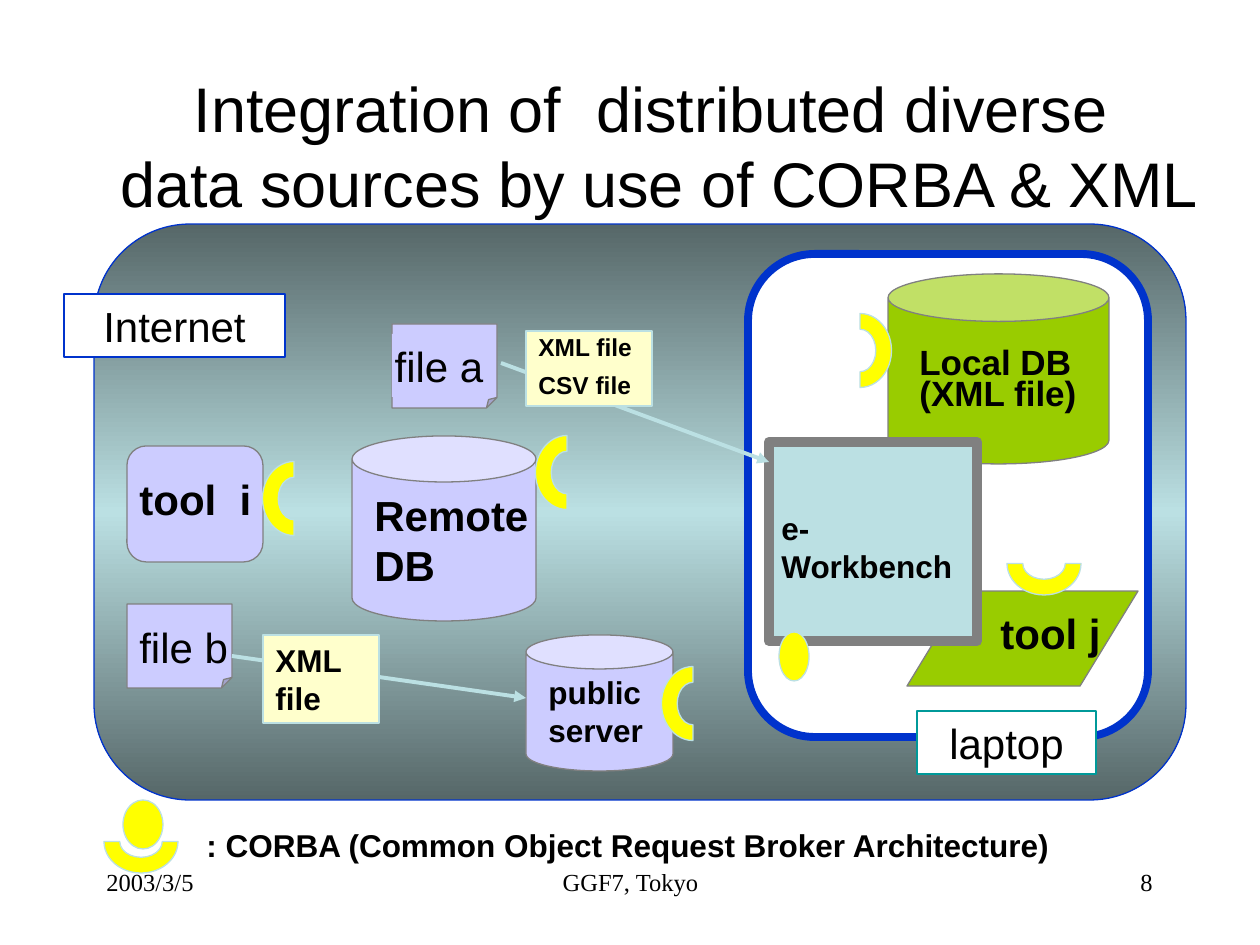
from copy import deepcopy

from lxml import etree
from pptx import Presentation
from pptx.dml.color import RGBColor
from pptx.enum import shapes, text
from pptx.oxml.ns import qn
from pptx.util import Emu, Pt

PX = 914400 / 126  # EMU in one px
KIND = shapes.MSO_SHAPE
ALIGN = text.PP_ALIGN
THEME = {
    "ink": "000000", "white": "FFFFFF", "blue": "0033CC", "teal": "009999",
    "slate": "566768", "aqua": "BBE0E3", "green": "99CC00", "lilac": "CCCCFF",
    "grey": "808080", "yellow": "FFFF00", "cream": "FFFFCC",
    "sans": "Arial", "serif": "Times New Roman",
    "title": 36, "large": 24, "medium": 20, "body": 18, "small": 14,
}


def add_shape(kind, box, fill, line=None, width=0.75, adj=(), rotation=0):
    sp = slide.shapes.add_shape(kind, *[Emu(round(v * PX)) for v in box])
    sp.shadow.inherit = False
    sp.rotation = rotation
    if adj:  # written as XML, since not every preset lists its adjustments
        guides = sp._element.spPr.find(".//" + qn("a:avLst"))
        guides[:] = []
        for i, value in enumerate(adj, 1):
            etree.SubElement(guides, qn("a:gd"), name=f"adj{i}" if len(adj) > 1 else "adj",
                             fmla=f"val {round(value * 100000)}")
    sp.fill.solid()
    sp.fill.fore_color.rgb = RGBColor.from_string(THEME[fill])
    if line:
        sp.line.color.rgb = RGBColor.from_string(THEME[line])
        sp.line.width = Pt(width)
    else:
        sp.line.fill.background()
    return sp


def add_text(target, lines, size, bold=False, align=ALIGN.LEFT, font="sans",
             anchor=text.MSO_ANCHOR.TOP, spacing=None, gap=0):
    """Write lines into a shape, or into a new text box when given a box."""
    if isinstance(target, tuple):
        target = slide.shapes.add_textbox(*[Emu(round(v * PX)) for v in target])
    tf = target.text_frame
    tf.word_wrap = True
    tf.vertical_anchor = anchor
    for i, line in enumerate(lines):
        p = tf.add_paragraph() if i else tf.paragraphs[0]
        p.text = line
        p.alignment = align
        p.line_spacing = spacing
        if i:
            p.space_before = Pt(gap)
        p.font.name = THEME[font]
        p.font.size = Pt(THEME[size])
        p.font.bold = bold
        p.font.color.rgb = RGBColor.from_string(THEME["ink"])
    return tf


prs = Presentation()
prs.slide_width, prs.slide_height = Emu(round(1260 * PX)), Emu(round(945 * PX))
slide = prs.slides.add_slide(prs.slide_layouts[6])

# Title
add_text((59, 66, 1201, 158),
         ["Integration of  distributed diverse \vdata sources by use of CORBA & XML"],
         "title", align=ALIGN.CENTER, anchor=text.MSO_ANCHOR.MIDDLE)

# Internet area: gradient dark, light, dark from top to bottom
internet = add_shape(KIND.ROUNDED_RECTANGLE, (94, 224, 1092, 576), "aqua", "blue")
internet.fill.gradient()
internet.fill.gradient_angle = 90
stops = internet.fill.gradient_stops
for stop, color, position in zip(stops, ("slate", "aqua"), (0, 0.5)):
    stop.color.rgb = RGBColor.from_string(THEME[color])
    stop.position = position
gs_list = internet._element.spPr.find(".//" + qn("a:gsLst"))
last = deepcopy(gs_list[0])
last.set("pos", "100000")
gs_list.append(last)

# Laptop area, data stores and tools
add_shape(KIND.ROUNDED_RECTANGLE, (748, 254, 400, 483), "white", "blue", 4.5)
for kind, box, fill, adj in [
    (KIND.CAN, (888, 274, 221, 190), "green", [0.25]),
    (KIND.CAN, (352, 436, 184, 185), "lilac", [0.25]),
    (KIND.ROUNDED_RECTANGLE, (127, 446, 136, 116), "lilac", []),
    (KIND.PARALLELOGRAM, (907, 591, 231, 95), "green", [0.61]),
    (KIND.CAN, (526, 635, 147, 136), "lilac", [0.25]),
    (KIND.FOLDED_CORNER, (392, 324, 105, 84), "lilac", [0.125]),
    (KIND.FOLDED_CORNER, (127, 604, 105, 84), "lilac", [0.125]),
]:
    add_shape(kind, box, fill, "grey", adj=adj)
add_shape(KIND.RECTANGLE, (769, 442, 208, 199), "aqua", "grey", 6)

# Names of the stores and tools
for box, label, size, bold in [
    ((769, 503, 209, 88), "e-Workbench", "body", True),
    ((536, 667, 168, 88), "public server", "body", True),
    ((127, 467, 158, 63), "tool  i", "large", True),
    ((988, 601, 168, 63), "tool j", "large", True),
    ((362, 483, 189, 113), "Remote DB", "large", True),
    ((127, 615, 126, 63), "file b", "large", False),
]:
    add_text(box, [label], size, bold)
add_text((907, 344, 189, 76), ["Local DB (XML file)"], "medium", True, spacing=0.75)
file_a = add_shape(KIND.RECTANGLE, (392, 334, 94, 63), "lilac")
add_text(file_a, ["file a"], "large", align=ALIGN.CENTER,
         anchor=text.MSO_ANCHOR.MIDDLE).word_wrap = False

# CORBA sockets and plug
for left, top, rotation in [(530, 441, 270), (823, 319, 90), (257, 467, 270),
                            (1007, 532, 180), (656, 672, 270), (104, 810, 180)]:
    add_shape(KIND.BLOCK_ARC, (left, top, 74, 63), "yellow", "aqua",
              adj=[108, 0, 0.25], rotation=rotation)
add_shape(KIND.OVAL, (779, 632, 30, 49), "yellow", "aqua")

# File transfer arrows
for ends in [(232, 656, 526, 698), (501, 363, 769, 462)]:
    arrow = slide.shapes.add_connector(shapes.MSO_CONNECTOR.STRAIGHT,
                                       *[Emu(round(v * PX)) for v in ends])
    arrow.line.color.rgb = RGBColor.from_string(THEME["aqua"])
    arrow.line.width = Pt(2.25)
    etree.SubElement(arrow._element.spPr.find(qn("a:ln")), qn("a:tailEnd"), type="triangle")
    etree.SubElement(arrow._element.spPr, qn("a:effectLst"))

# Format notes on the arrows
note = add_shape(KIND.RECTANGLE, (526, 331, 126, 75), "cream", "aqua")
add_text(note, ["XML file", "CSV file"], "small", True, spacing=0.8, gap=8.8)
note = add_shape(KIND.RECTANGLE, (263, 635, 116, 88), "cream", "aqua")
add_text(note, ["XML file"], "body", True)

# Area labels
for box, label, line in [((917, 711, 179, 63), "laptop", "teal"),
                         ((64, 294, 221, 63), "Internet", "blue")]:
    sp = add_shape(KIND.RECTANGLE, box, "white", line)
    add_text(sp, [label], "large", align=ALIGN.CENTER)

# Legend
add_shape(KIND.OVAL, (123, 800, 40, 49), "yellow", "aqua")
add_text((194, 820, 963, 50),
         [": CORBA (Common Object Request Broker Architecture)"], "body", True)

# Footer
for left, width, label, align in [(94, 262, "2003/3/5", ALIGN.LEFT),
                                  (431, 399, "GGF7, Tokyo", ALIGN.CENTER),
                                  (903, 262, "8", ALIGN.RIGHT)]:
    add_text((left, 861, width, 63), [label], "small", align=align, font="serif")

prs.save("out.pptx")
